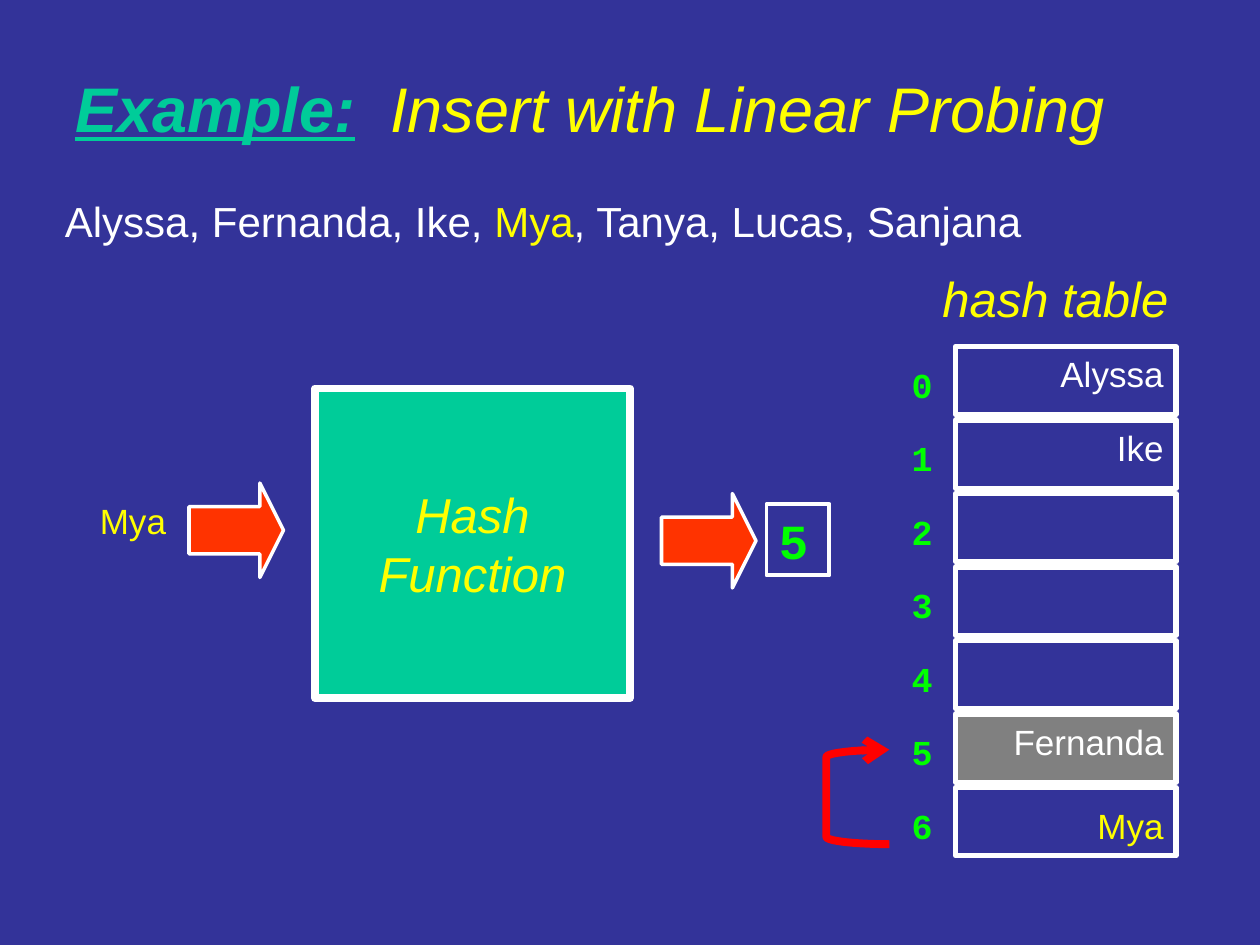
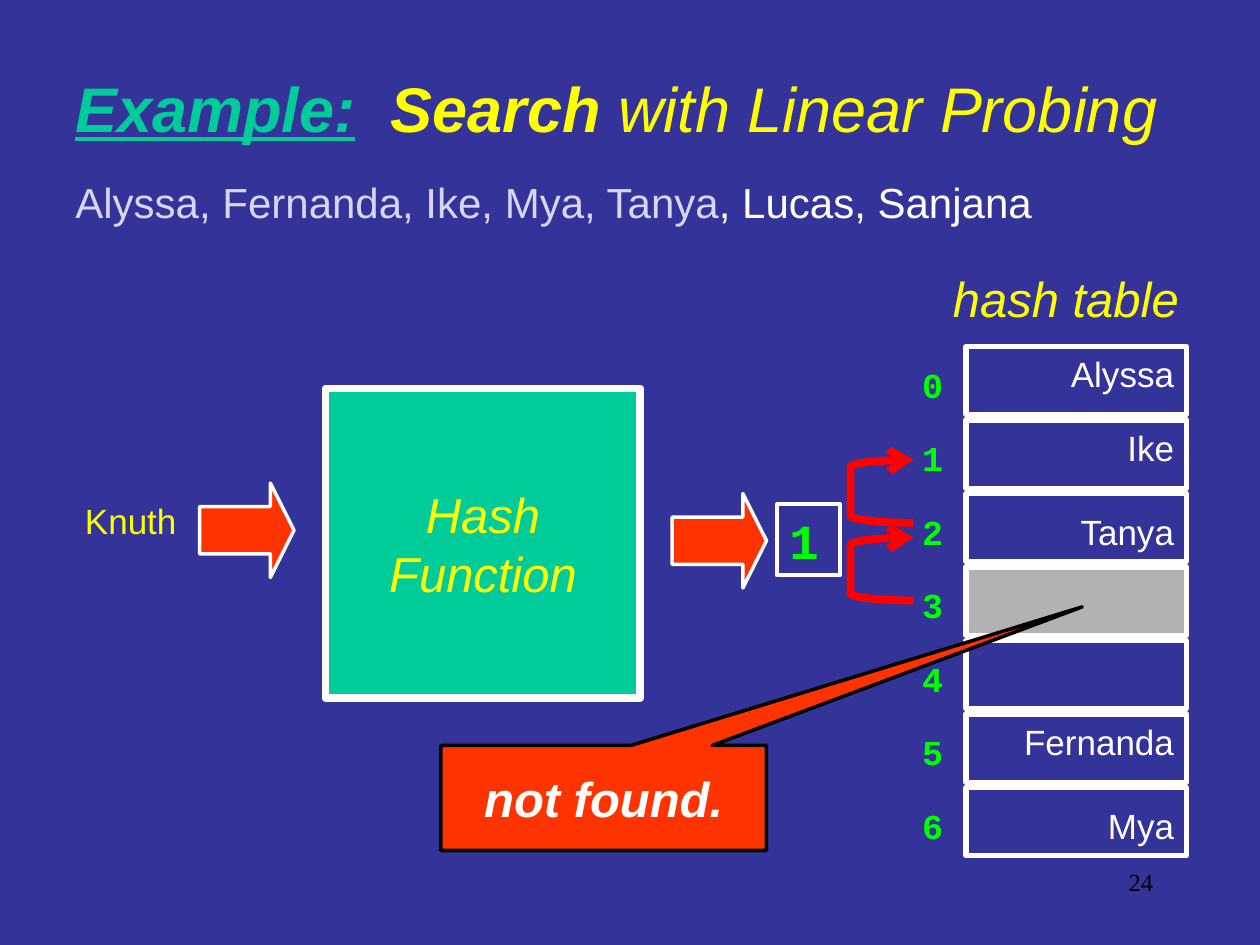
from dataclasses import dataclass
from math import cos, pi, sin
from typing import NamedTuple, Optional

from lxml import etree
from pptx import Presentation
from pptx.dml.color import RGBColor
from pptx.enum.shapes import MSO_SHAPE
from pptx.enum.text import MSO_ANCHOR, PP_ALIGN
from pptx.oxml.ns import qn
from pptx.util import Pt

PX = 7620  # 120 px to the inch

NAVY = RGBColor(0x33, 0x33, 0x99)
WHITE = RGBColor(0xFF, 0xFF, 0xFF)
BLACK = RGBColor(0, 0, 0)
YELLOW = RGBColor(0xFF, 0xFF, 0)
TEAL = RGBColor(0, 0xCC, 0x99)
LIME = RGBColor(0, 0xFF, 0)
RED = RGBColor(0xFF, 0, 0)
ORANGE = RGBColor(0xFF, 0x33, 0)
GRAY = RGBColor(0x80, 0x80, 0x80)
SILVER = RGBColor(0xB2, 0xB2, 0xB2)
PALE = RGBColor(0xD6, 0xD6, 0xF5)

RECT = MSO_SHAPE.RECTANGLE
ARROW = MSO_SHAPE.RIGHT_ARROW
CALLOUT = MSO_SHAPE.RECTANGULAR_CALLOUT
LEFT, MID, RIGHT = PP_ALIGN.LEFT, PP_ALIGN.CENTER, PP_ALIGN.RIGHT
TOP, CENTER = MSO_ANCHOR.TOP, MSO_ANCHOR.MIDDLE


class Box(NamedTuple):
    x: int
    y: int
    w: int
    h: int

    def emu(self) -> list[int]:
        return [n * PX for n in self]


class Run(NamedTuple):
    text: str
    color: RGBColor = WHITE
    style: dict = {}


class Slot(NamedTuple):
    name: str = ""
    drop: int = 0
    color: RGBColor = WHITE
    fill: Optional[RGBColor] = None


class Look(NamedTuple):
    size: int
    align: PP_ALIGN = LEFT
    style: dict = {}
    font: str = "Arial"


@dataclass
class Scene:
    shift: int
    title: list[Run]
    names: list[Run]
    spot: Box
    key: str
    index: str
    slots: list[Slot]
    hooks: list[Box]


ITALIC = {"italic": True}
BOLD = {"bold": True}
HEAD = Look(36, LEFT, ITALIC)
LIST = Look(24)
NAME = Look(20, RIGHT)
DIGIT = Look(20, RIGHT, BOLD, "Courier New")
RESULT = Look(28, LEFT, BOLD, "Courier New")
LABEL = Look(28, MID, ITALIC)
NOTE = Look(28, MID, ITALIC | BOLD)
PAGE = Look(14, RIGHT, {}, "Times New Roman")

ROW_TOP, PITCH = 330, 70
CELL_X, CELL_W, CELL_H = 910, 210, 65
LINE_H = 53
BEND = 7
STEPS = 10

EXAMPLE = Run("Example:", TEAL, {"bold": True, "underline": True})
SCENES = [
    Scene(
        shift=0,
        title=[EXAMPLE, Run("  Insert with Linear Probing", YELLOW)],
        names=[Run("Alyssa, Fernanda, Ike, "), Run("Mya", YELLOW),
               Run(", Tanya, Lucas, Sanjana")],
        spot=Box(50, 180, 1110, 60),
        key="Mya",
        index="5",
        slots=[Slot("Alyssa"), Slot("Ike"), Slot(), Slot(), Slot(),
               Slot("Fernanda", fill=GRAY), Slot("Mya", 10, YELLOW)],
        hooks=[Box(787, 714, 60, 90)],
    ),
    Scene(
        shift=10,
        title=[EXAMPLE, Run("  ", YELLOW), Run("Search", YELLOW, BOLD),
               Run(" with Linear Probing", YELLOW)],
        names=[Run("Alyssa, Fernanda, Ike, Mya, Tanya", PALE),
               Run(", Lucas, Sanjana")],
        spot=Box(60, 162, 1110, 60),
        key="Knuth",
        index="1",
        slots=[Slot("Alyssa"), Slot("Ike"), Slot("Tanya", 10),
               Slot(fill=SILVER), Slot(), Slot("Fernanda"), Slot("Mya", 10)],
        hooks=[Box(810, 438, 60, 60), Box(810, 512, 60, 60)],
    ),
]


def write(shape, runs: list[Run], look: Look, anchor=TOP, wrap=True) -> None:
    frame = shape.text_frame
    frame.word_wrap = wrap
    frame.vertical_anchor = anchor
    para = frame.paragraphs[0]
    para.alignment = look.align
    for run in runs:
        part = para.add_run()
        part.text = run.text
        form = {"name": look.font, "size": Pt(look.size)}
        for key, value in (form | look.style | run.style).items():
            setattr(part.font, key, value)
        part.font.color.rgb = run.color


def text(slide, box: Box, runs: list[Run], look: Look) -> None:
    write(slide.shapes.add_textbox(*box.emu()), runs, look)


def paint(shape, fill: Optional[RGBColor], line: RGBColor, width: float) -> None:
    shape.shadow.inherit = False
    if fill is None:
        shape.fill.background()
    else:
        shape.fill.solid()
        shape.fill.fore_color.rgb = fill
    shape.line.color.rgb = line
    shape.line.width = Pt(width)


def draw(slide, kind, box: Box, fill, line, width: float, adjust=()):
    shape = slide.shapes.add_shape(kind, *box.emu())
    for i, value in enumerate(adjust):
        shape.adjustments[i] = value
    paint(shape, fill, line, width)
    return shape


def hook(slide, box: Box) -> None:
    """Draw a left bracket from the lower row up to an arrowhead."""
    turns = [pi / 2 * i / STEPS for i in range(STEPS + 1)]
    low = [(box.x + box.w * (1 - sin(t)),
            box.y + box.h - BEND * (1 - cos(t))) for t in turns]
    high = [(x, 2 * box.y + box.h - y) for x, y in reversed(low)]
    points = [(x * PX, y * PX) for x, y in low + high]
    pen = slide.shapes.build_freeform(*points[0])
    pen.add_line_segments(points[1:], close=False)
    shape = pen.convert_to_shape()
    paint(shape, None, RED, 4.5)
    etree.SubElement(shape.line._get_or_add_ln(), qn("a:tailEnd"), type="arrow")


def table(slide, slots: list[Slot], shift: int) -> None:
    x = CELL_X + shift
    text(slide, Box(x - 40, 250, 270, 68), [Run("hash table", YELLOW)], LABEL)
    for i, slot in enumerate(slots):
        y = ROW_TOP + i * PITCH
        draw(slide, RECT, Box(x, y, CELL_W, CELL_H), slot.fill, WHITE, 3)
        text(slide, Box(x - 110, y + 10, 100, LINE_H), [Run(str(i), LIME)], DIGIT)
        if slot.name:
            text(slide, Box(x, y + slot.drop, CELL_W, LINE_H),
                 [Run(slot.name, slot.color)], NAME)


def flow(slide, key: str, index: str, shift: int) -> None:
    """Draw the key, the hash function and the index it gives."""
    text(slide, Box(0, 470, 170 + shift, LINE_H), [Run(key, YELLOW)], NAME)
    for x, y in ((180, 460), (630, 470)):
        draw(slide, ARROW, Box(x + shift, y, 90, 90), ORANGE, WHITE, 2, (0.5, 0.25))
    func = draw(slide, RECT, Box(300 + shift, 370, 300, 295), TEAL, WHITE, 4.5)
    write(func, [Run("Hash Function", YELLOW)], LABEL, CENTER)
    cell = draw(slide, RECT, Box(730 + shift, 480, 60, 68), None, WHITE, 2.25)
    write(cell, [Run(index, LIME)], RESULT)


def build(deck, scene: Scene):
    slide = deck.slides.add_slide(deck.slide_layouts[6])
    slide.background.fill.solid()
    slide.background.fill.fore_color.rgb = NAVY
    text(slide, Box(60, 60, 1080, 84), scene.title, HEAD)
    text(slide, scene.spot, scene.names, LIST)
    flow(slide, scene.key, scene.index, scene.shift)
    table(slide, scene.slots, scene.shift)
    for box in scene.hooks:
        hook(slide, box)
    return slide


def main() -> None:
    deck = Presentation()
    deck.slide_width, deck.slide_height = 1200 * PX, 900 * PX
    _, search = [build(deck, scene) for scene in SCENES]
    miss = draw(search, CALLOUT, Box(420, 710, 310, 100), ORANGE, BLACK, 2,
                (1.47, -1.82))
    write(miss, [Run("not found.")], NOTE, CENTER, False)
    text(search, Box(860, 820, 250, 60), [Run("24", BLACK)], PAGE)
    deck.save("out.pptx")


if __name__ == "__main__":
    main()
